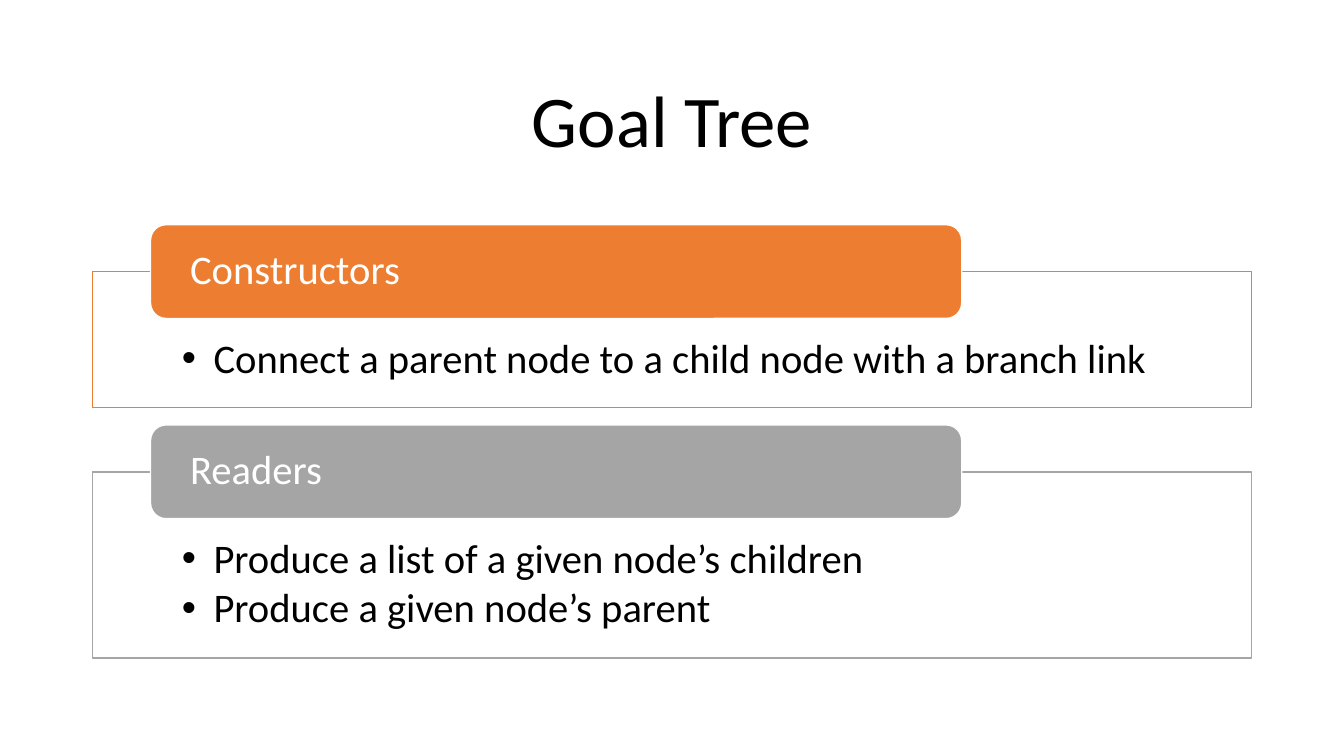
from dataclasses import dataclass

from lxml.etree import SubElement
from pptx import Presentation
from pptx.dml.color import RGBColor
from pptx.enum.shapes import MSO_SHAPE
from pptx.enum.text import MSO_ANCHOR, MSO_AUTO_SIZE, PP_ALIGN
from pptx.oxml.ns import qn
from pptx.shapes.autoshape import Shape
from pptx.slide import Slide
from pptx.text.text import TextFrame, _Paragraph
from pptx.util import Pt

BLACK = RGBColor(0x00, 0x00, 0x00)
WHITE = RGBColor(0xFF, 0xFF, 0xFF)
ORANGE = RGBColor(0xED, 0x7D, 0x31)
GREY = RGBColor(0xA5, 0xA5, 0xA5)

LEFT, WIDTH = 66, 828
TAB_LEFT, TAB_WIDTH, TAB_HEIGHT = 107.5, 579.5, 67
BULLET_INDENT = 22.5


@dataclass(frozen=True)
class Section:
    heading: str
    items: tuple[str, ...]
    color: RGBColor
    top: float
    height: float


SECTIONS = (
    Section("Constructors",
            ("Connect a parent node to a child node with a branch link",),
            ORANGE, 194, 97),
    Section("Readers",
            ("Produce a list of a given node’s children",
             "Produce a given node’s parent"),
            GREY, 337, 133),
)


def set_attributes(target: object, values: dict[str, object]) -> None:
    for name, value in values.items():
        setattr(target, name, value)


def place(shape: Shape, left: float, top: float, width: float, height: float) -> None:
    set_attributes(shape, {"left": Pt(left), "top": Pt(top),
                           "width": Pt(width), "height": Pt(height)})


def paint(shape: Shape, fill: RGBColor, line: RGBColor) -> None:
    shape.fill.solid()
    shape.fill.fore_color.rgb = fill
    shape.line.color.rgb = line
    shape.line.width = Pt(1)


def format_frame(frame: TextFrame, anchor: MSO_ANCHOR, side: float,
                 top: float, bottom: float) -> None:
    set_attributes(frame, {
        "word_wrap": True, "auto_size": MSO_AUTO_SIZE.NONE,
        "vertical_anchor": anchor,
        "margin_left": Pt(side), "margin_right": Pt(side),
        "margin_top": Pt(top), "margin_bottom": Pt(bottom)})


def write(paragraph: _Paragraph, text: str, size: float, color: RGBColor,
          alignment: PP_ALIGN = PP_ALIGN.LEFT, after: float = 0) -> None:
    set_attributes(paragraph, {"alignment": alignment, "line_spacing": 0.9,
                               "space_before": Pt(0), "space_after": Pt(after)})
    run = paragraph.add_run()
    run.text = text
    set_attributes(run.font, {"name": "Calibri", "size": Pt(size)})
    run.font.color.rgb = color


def add_bullet(paragraph: _Paragraph) -> None:
    properties = paragraph._p.get_or_add_pPr()
    properties.set("marL", str(Pt(BULLET_INDENT)))
    properties.set("indent", str(-Pt(BULLET_INDENT)))
    SubElement(properties, qn("a:buFont"), typeface="Arial")
    SubElement(properties, qn("a:buChar"), char="•")


def draw_title(title: Shape) -> None:
    place(title, LEFT, 44, WIDTH, 89)
    format_frame(title.text_frame, MSO_ANCHOR.MIDDLE, 7.2, 3.6, 3.6)
    write(title.text_frame.paragraphs[0], "Goal Tree", 52, BLACK, PP_ALIGN.CENTER)


def draw_section(slide: Slide, body: Shape, section: Section) -> None:
    place(body, LEFT, section.top, WIDTH, section.height)
    paint(body, WHITE, section.color)
    frame = body.text_frame
    format_frame(frame, MSO_ANCHOR.TOP, 64, 47.5, 16.5)
    for index, item in enumerate(section.items):
        paragraph = frame.add_paragraph() if index else frame.paragraphs[0]
        write(paragraph, item, 29, BLACK, after=4)
        add_bullet(paragraph)

    tab = slide.shapes.add_shape(
        MSO_SHAPE.ROUNDED_RECTANGLE, Pt(TAB_LEFT), Pt(section.top - TAB_HEIGHT / 2),
        Pt(TAB_WIDTH), Pt(TAB_HEIGHT))
    tab.shadow.inherit = False
    paint(tab, section.color, WHITE)
    format_frame(tab.text_frame, MSO_ANCHOR.MIDDLE, 25, 0, 0)
    write(tab.text_frame.paragraphs[0], section.heading, 29, WHITE)


def main() -> None:
    """Build the Goal Tree slide with its two framed lists."""
    presentation = Presentation()
    set_attributes(presentation, {"slide_width": Pt(960), "slide_height": Pt(540)})
    slide = presentation.slides.add_slide(
        presentation.slide_layouts.get_by_name("Two Content"))
    title, *bodies = slide.placeholders
    draw_title(title)
    for body, section in zip(bodies, SECTIONS):
        draw_section(slide, body, section)
    presentation.save("out.pptx")


if __name__ == "__main__":
    main()
